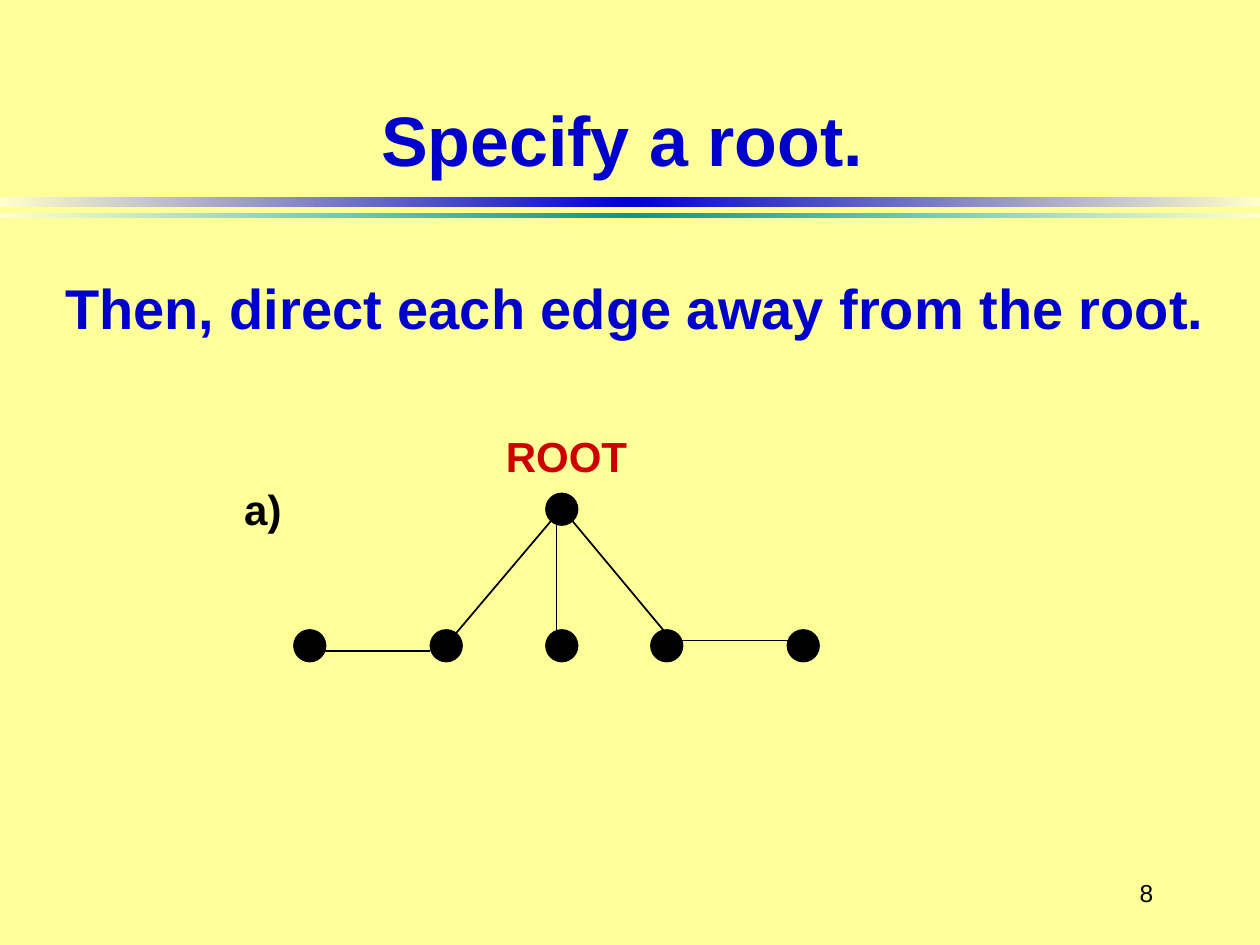
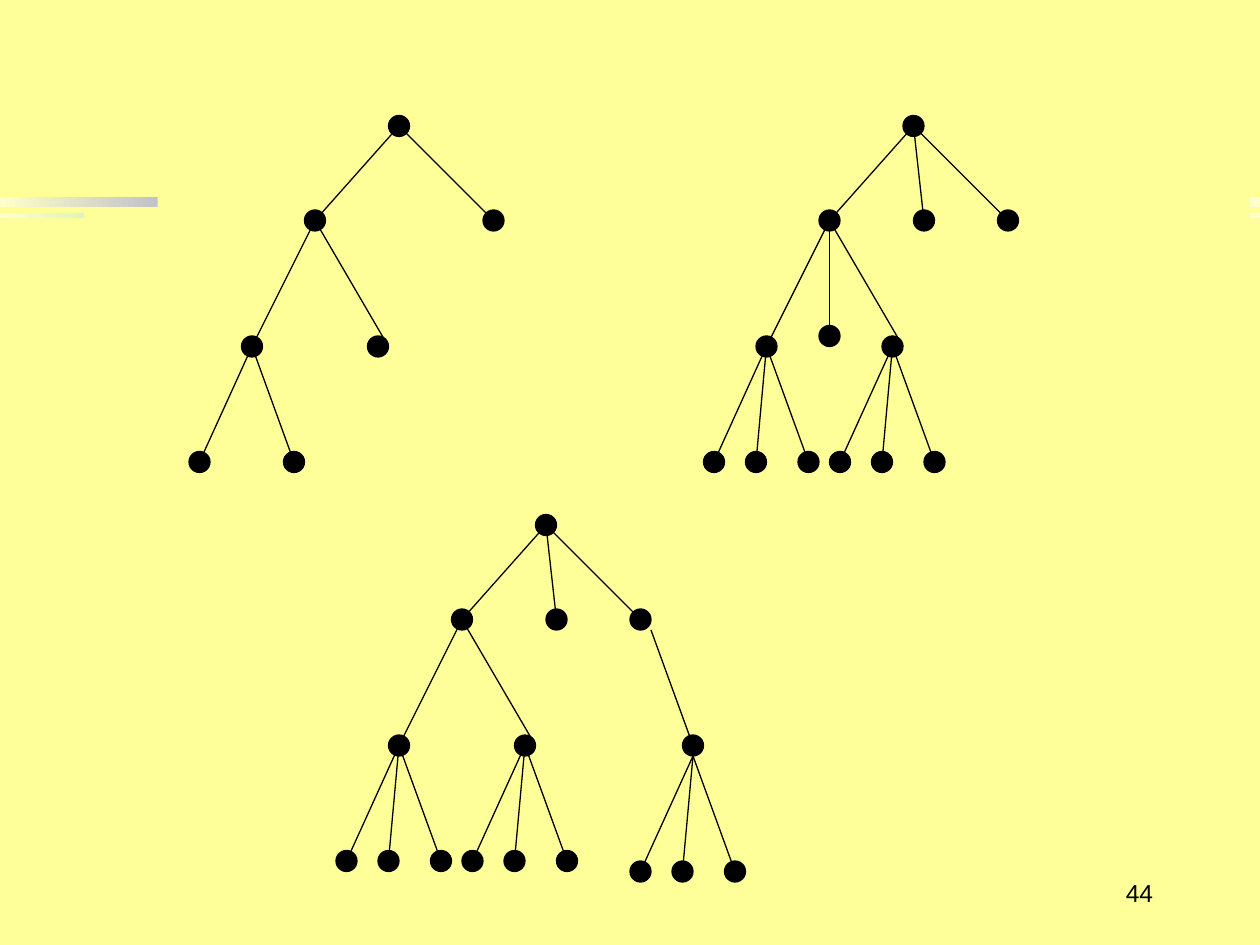
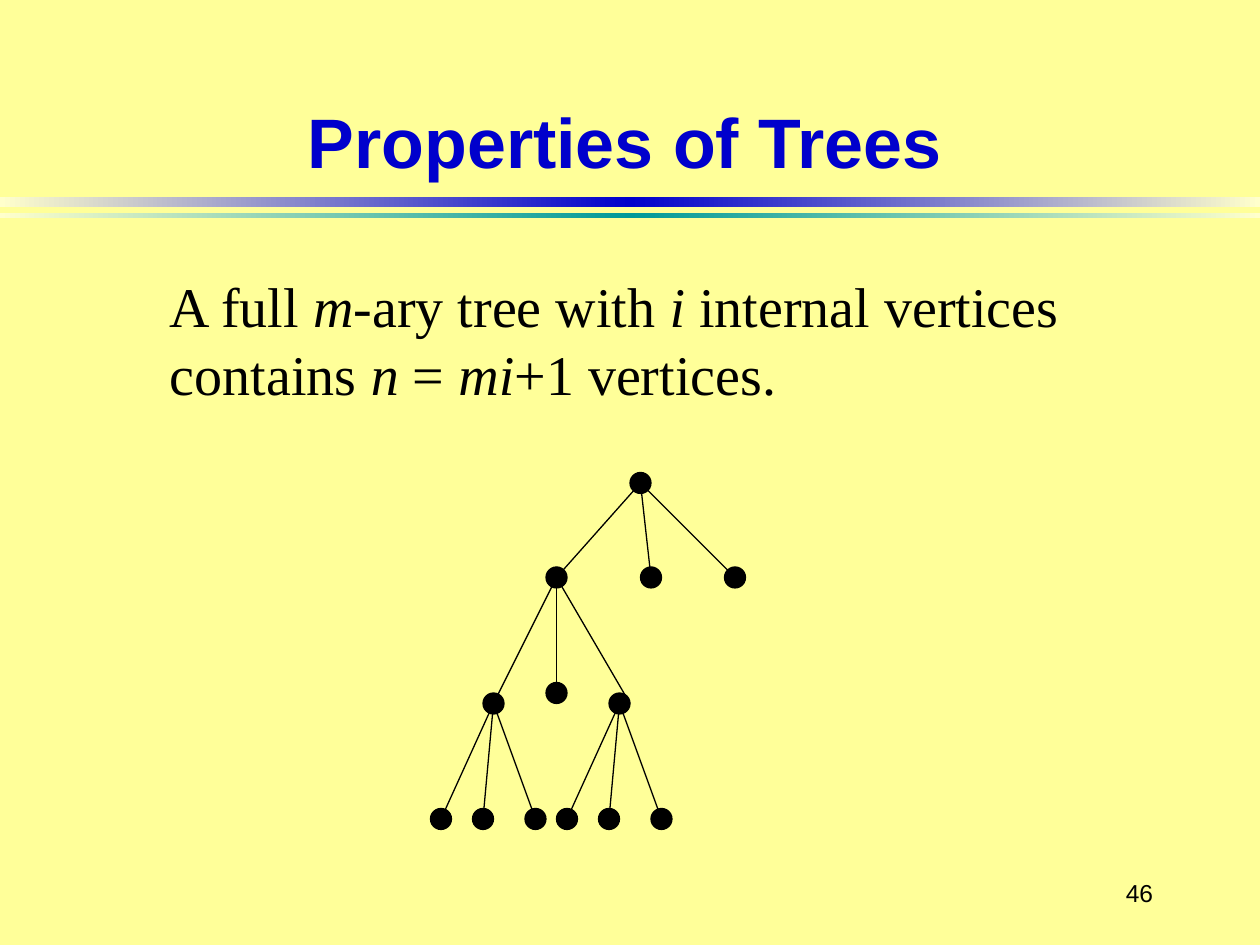
from copy import deepcopy
from dataclasses import dataclass
from typing import Optional

from lxml import etree
from pptx import Presentation
from pptx.dml.color import RGBColor
from pptx.enum.shapes import MSO_CONNECTOR, MSO_SHAPE
from pptx.enum.text import MSO_ANCHOR, PP_ALIGN
from pptx.oxml.ns import qn
from pptx.util import Pt

PAPER, CREAM, BLUE, TEAL = "FFFF99", "FFFFCC", "0000CC", "009999"
BLACK, RED = "000000", "CC0000"
TITLE_ONLY, BLANK = 5, 6

Point = tuple[float, float]
Box = tuple[float, float, float, float]


@dataclass(frozen=True)
class Style:
    size: float
    color: str = BLACK
    bold: bool = False
    name: str = "Arial"
    align: PP_ALIGN = PP_ALIGN.LEFT
    anchor: MSO_ANCHOR = MSO_ANCHOR.TOP
    line_spacing: Optional[float] = None


@dataclass(frozen=True)
class Branch:
    """An edge and the vertex at its end, as offsets from the root."""
    start: Point
    end: Point
    vertex: Optional[Point] = None


@dataclass(frozen=True)
class Tree:
    root: Point
    branches: list[Branch]
    diameter: float = 12
    line_width: float = 0.75


TITLE = Style(40, BLUE, True, align=PP_ALIGN.CENTER, anchor=MSO_ANCHOR.BOTTOM)
SUBTITLE = Style(32, BLUE, True, align=PP_ALIGN.CENTER, anchor=MSO_ANCHOR.BOTTOM)
LABEL = Style(24, bold=True)
ROOT_LABEL = Style(24, RED, True)
BODY = Style(32, name="Times New Roman", line_spacing=39)
PAGE_NUMBER = Style(14, align=PP_ALIGN.RIGHT, anchor=MSO_ANCHOR.MIDDLE)


def fan(x: float, y: float) -> list[Branch]:
    """Three leaves below one vertex."""
    return [Branch((x, y), (x + dx, y + 66)) for dx in (-30, -6, 24)]


TOP_PAIR = [Branch((0, 0), (-48, 54)), Branch((0, 0), (54, 54))]
TOP_MIDDLE = Branch((0, 0), (6, 54))
INNER_PAIR = [Branch((-48, 54), (-84, 126)),
              Branch((-48, 54), (-6, 126), (-12, 126))]
INNER_MIDDLE = Branch((-48, 60), (-48, 126), (-48, 120))
LEFT_FAN, MIDDLE_FAN, RIGHT_FAN = fan(-84, 126), fan(-12, 126), fan(84, 132)
RIGHT_STEM = Branch((60, 60), (84, 126))

BINARY = TOP_PAIR + INNER_PAIR + [LEFT_FAN[0], LEFT_FAN[2]]
TERNARY_CORE = TOP_PAIR + [TOP_MIDDLE] + INNER_PAIR + LEFT_FAN + MIDDLE_FAN
FULL_TERNARY = TERNARY_CORE + [INNER_MIDDLE]
UNEVEN = TERNARY_CORE + [RIGHT_STEM] + RIGHT_FAN
ROOTED = [
    Branch((-3, 3), (-69, 81), (-66, 78)),
    Branch((-3, 9), (-3, 69), (0, 78)),
    Branch((3, 3), (63, 75), (60, 78)),
    Branch((-135, 81), (-75, 81), (-144, 78)),
    Branch((129, 75), (69, 75), (138, 78)),
]


def rgb(color: str) -> RGBColor:
    return RGBColor.from_string(color)


def points(values) -> list[Pt]:
    return [Pt(value) for value in values]


def write(shape, spans: list[tuple[str, bool]], style: Style, wrap: bool = True) -> None:
    """Fill a shape with one paragraph of (text, italic) spans."""
    frame = shape.text_frame
    frame.word_wrap = wrap
    frame.vertical_anchor = style.anchor
    para = frame.paragraphs[0]
    para.alignment = style.align
    if style.line_spacing:
        para.line_spacing = Pt(style.line_spacing)
    for text, italic in spans:
        span = para.add_run()
        span.text = text
        formats = {"size": Pt(style.size), "name": style.name,
                   "bold": style.bold, "italic": italic}
        for key, value in formats.items():
            setattr(span.font, key, value)
        span.font.color.rgb = rgb(style.color)


def add_text(slide, box: Box, text: str, style: Style, wrap: bool = True) -> None:
    write(slide.shapes.add_textbox(*points(box)), [(text, False)], style, wrap)


def add_plain_shape(slide, kind: MSO_SHAPE, box: Box):
    shape = slide.shapes.add_shape(kind, *points(box))
    shape.shadow.inherit = False
    shape.line.fill.background()
    return shape


def add_cover(slide, box: Box) -> None:
    cover = add_plain_shape(slide, MSO_SHAPE.RECTANGLE, box)
    cover.fill.solid()
    cover.fill.fore_color.rgb = rgb(PAPER)


def add_vertex(slide, center: Point, tree: Tree) -> None:
    x, y = center
    size = tree.diameter
    vertex = add_plain_shape(slide, MSO_SHAPE.OVAL,
                             (x - size / 2, y - size / 2, size, size))
    vertex.fill.solid()
    vertex.fill.fore_color.rgb = rgb(BLACK)
    vertex.line.color.rgb = rgb(BLACK)
    vertex.line.width = Pt(tree.line_width)


def add_edge(slide, start: Point, end: Point, width: float) -> None:
    edge = slide.shapes.add_connector(MSO_CONNECTOR.STRAIGHT, *points(start + end))
    edge.line.color.rgb = rgb(BLACK)
    edge.line.width = Pt(width)
    etree.SubElement(edge.element.spPr, qn("a:effectLst"))


def add_tree(slide, tree: Tree) -> None:
    def place(offset: Point) -> Point:
        return tree.root[0] + offset[0], tree.root[1] + offset[1]

    add_vertex(slide, tree.root, tree)
    for branch in tree.branches:
        add_edge(slide, place(branch.start), place(branch.end), tree.line_width)
        add_vertex(slide, place(branch.vertex or branch.end), tree)


def add_band(slide, top: float, height: float, color: str):
    band = add_plain_shape(slide, MSO_SHAPE.RECTANGLE, (0, top, 720, height))
    band.fill.gradient()
    band.fill.gradient_angle = 0
    stop_list = band.element.xpath(".//a:gsLst")[0]
    stop_list.append(deepcopy(stop_list[0]))
    stops = zip(band.fill.gradient_stops, (0, 0.5, 1), (CREAM, color, CREAM))
    for stop, position, stop_color in stops:
        stop.position = position
        stop.color.rgb = rgb(stop_color)
    return band


def style_master(deck, slide) -> None:
    """Set the background and move the two bands from the slide to the master."""
    master = deck.slide_master
    master.background.fill.solid()
    master.background.fill.fore_color.rgb = rgb(PAPER)
    for top, height, color in ((112.5, 6, BLUE), (121.5, 3, TEAL)):
        master.element.cSld.spTree.append(add_band(slide, top, height, color).element)


def add_title(slide, left: float, top: float, text: str) -> None:
    title = slide.shapes.title
    box = points((left, top, 618, 90))
    for key, value in zip(("left", "top", "width", "height"), box):
        setattr(title, key, value)
    write(title, [(text, False)], TITLE)


def add_page_number(slide, number: int) -> None:
    add_text(slide, (618, 492, 48, 36), str(number), PAGE_NUMBER)


def build_root_slide(slide) -> None:
    add_title(slide, 46.5, 16.5, "Specify a root.")
    add_tree(slide, Tree((321, 291), ROOTED, diameter=18, line_width=1))
    add_text(slide, (132.5, 272.5, 36, 36), "a)", LABEL, wrap=False)
    add_text(slide, (282, 242.5, 83.5, 36), "ROOT", ROOT_LABEL, wrap=False)
    add_text(slide, (18, 132, 690, 66),
             "Then, direct each edge away from the root.", SUBTITLE)
    add_page_number(slide, 8)


def build_examples_slide(slide) -> None:
    add_cover(slide, (90, 18, 624, 498))
    for root, branches in (((228, 72), BINARY), ((522, 72), FULL_TERNARY),
                           ((312, 300), UNEVEN)):
        add_tree(slide, Tree(root, branches))
    add_cover(slide, (48, 120, 48, 24))
    add_page_number(slide, 44)


def build_properties_slide(slide) -> None:
    add_title(slide, 48, 18, "Properties of Trees")
    theorem = slide.shapes.add_textbox(*points((90, 151, 588, 84)))
    write(theorem, [("A full ", False), ("m", True), ("-ary tree with ", False),
                    ("i", True), (" internal vertices contains ", False),
                    ("n ", True), ("= ", False), ("mi", True),
                    ("+1 vertices.", False)], BODY)
    add_tree(slide, Tree((366, 276), FULL_TERNARY))
    add_page_number(slide, 46)


def main() -> None:
    deck = Presentation()
    deck.slide_width, deck.slide_height = Pt(720), Pt(540)
    builders = ((TITLE_ONLY, build_root_slide), (BLANK, build_examples_slide),
                (TITLE_ONLY, build_properties_slide))
    for layout, build in builders:
        build(deck.slides.add_slide(deck.slide_layouts[layout]))
    style_master(deck, deck.slides[0])
    deck.save("out.pptx")


if __name__ == "__main__":
    main()
